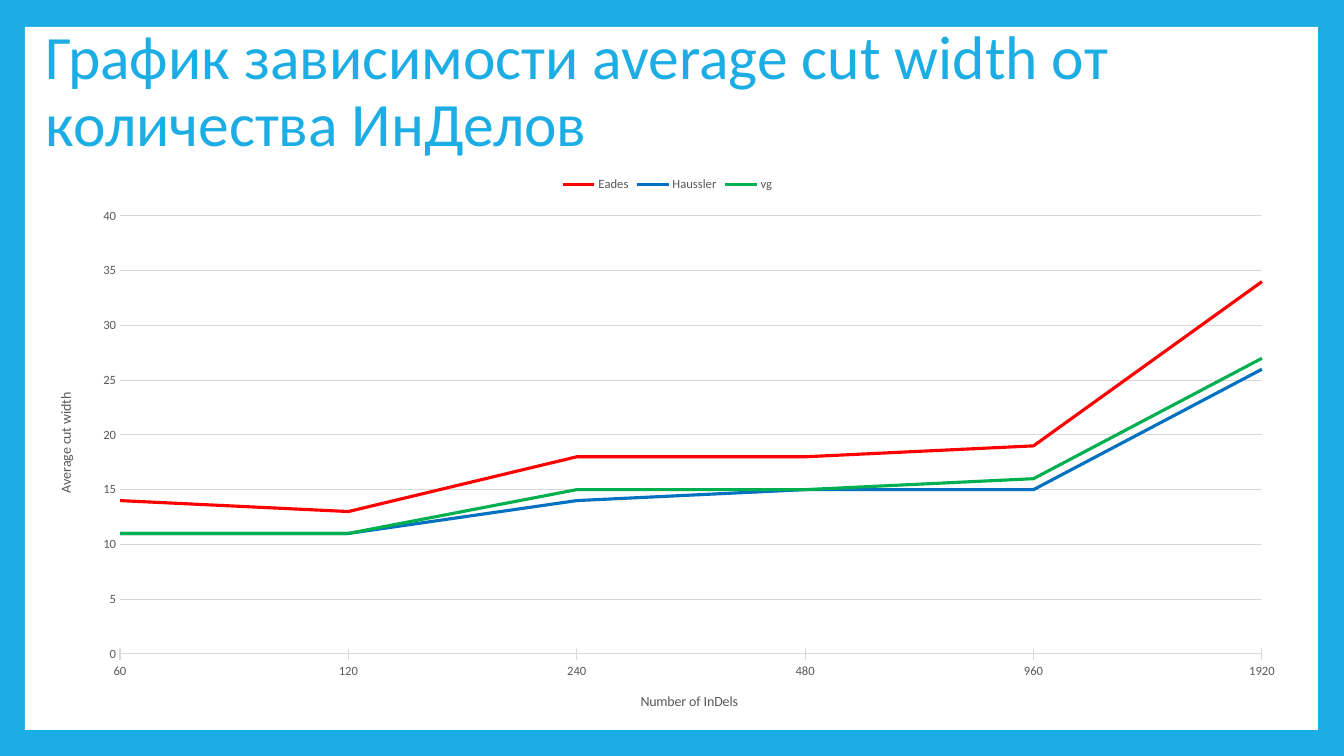
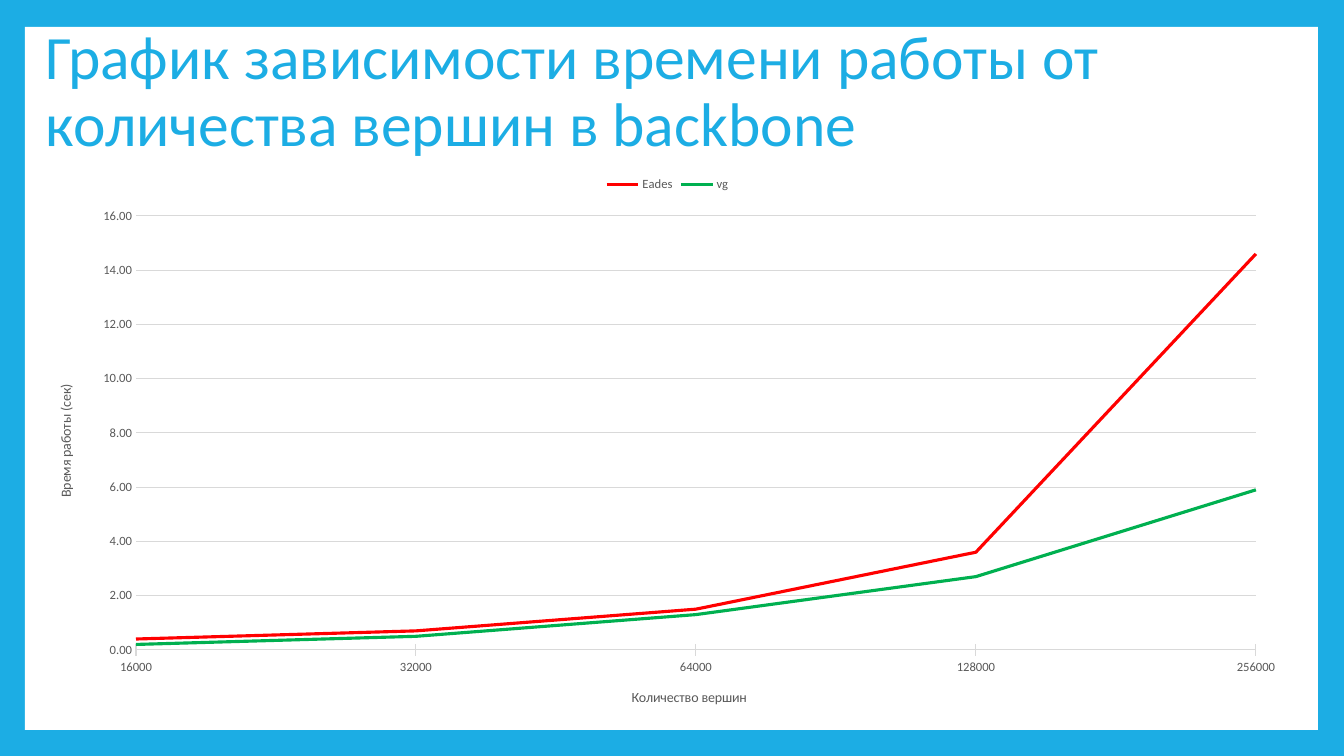
from lxml import etree
from pptx import Presentation, util as u
from pptx.chart.data import CategoryChartData
from pptx.dml.color import RGBColor
from pptx.enum import chart as ch, shapes, text
from pptx.oxml.ns import qn

PX = 914400 / 100.8
FONT = "Calibri"
CYAN = RGBColor(0x1C, 0xAD, 0xE4)
WHITE = RGBColor(0xFF, 0xFF, 0xFF)
GRAY = RGBColor(0x59, 0x59, 0x59)
GRID = RGBColor(0xD9, 0xD9, 0xD9)
RED = RGBColor(0xFF, 0x00, 0x00)
BLUE = RGBColor(0x00, 0x70, 0xC0)
GREEN = RGBColor(0x00, 0xB0, 0x50)
COLORS = {"Eades": RED, "Haussler": BLUE, "vg": GREEN}
CHART_X, CHART_Y, CHART_W = 35, 166, 1265

SLIDES = [
    {
        "title": "График зависимости average cut width от количества ИнДелов",
        "height": 563,
        "plot": (120, 216, 1142, 438),
        "x_title": ("Number of InDels", 638, 690),
        "y_title": ("Average cut width", 54, 390),
        "format": "General",
        "cats": ["60", "120", "240", "480", "960", "1920"],
        "series": {
            "Eades": [14, 13, 18, 18, 19, 34],
            "Haussler": [11, 11, 14, 15, 15, 26],
            "vg": [11, 11, 15, 15, 16, 27],
        },
        "max": 40, "step": 5,
    },
    {
        "title": "График зависимости времени работы от количества вершин в backbone",
        "height": 559,
        "plot": (136, 216, 1120, 434),
        "x_title": ("Количество вершин", 629, 686),
        "y_title": ("Время работы (сек)", 54, 382),
        "format": "0.00",
        "cats": ["16000", "32000", "64000", "128000", "256000"],
        "series": {
            "Eades": [0.4, 0.7, 1.5, 3.6, 14.6],
            "vg": [0.2, 0.5, 1.3, 2.7, 5.9],
        },
        "max": 16, "step": 2,
    },
]


def box(*lengths):
    return [u.Emu(round(n * PX)) for n in lengths]


def place(parent, index, height, x, y, w=None, h=None):
    for old in parent.findall(qn("c:layout")):
        parent.remove(old)
    layout = etree.Element(qn("c:layout"))
    manual = etree.SubElement(layout, qn("c:manualLayout"))
    items = [("xMode", "edge"), ("yMode", "edge"),
             ("x", (x - CHART_X) / CHART_W), ("y", (y - CHART_Y) / height)]
    if w:
        items = [("layoutTarget", "inner")] + items
        items += [("w", w / CHART_W), ("h", h / height)]
    for tag, val in items:
        etree.SubElement(manual, qn("c:" + tag)).set("val", str(val))
    parent.insert(index, layout)


prs = Presentation()
prs.slide_width, prs.slide_height = box(1344, 756)
fill = prs.slide_master.background.fill
fill.solid()
fill.fore_color.rgb = CYAN

for content in SLIDES:
    s = prs.slides.add_slide(prs.slide_layouts[6])

    sp = s.shapes.add_shape(shapes.MSO_SHAPE.RECTANGLE, *box(25, 27, 1293, 703))
    sp.shadow.inherit = False
    sp.fill.solid()
    sp.fill.fore_color.rgb = WHITE
    sp.line.fill.background()

    tf = s.shapes.add_textbox(*box(36, 19, 1265, 148)).text_frame
    tf.word_wrap = True
    tf.vertical_anchor = text.MSO_ANCHOR.MIDDLE
    tf.text = content["title"]
    p = tf.paragraphs[0]
    p.line_spacing = 0.9
    p.font.size = u.Pt(44)
    p.font.name = FONT
    p.font.color.rgb = CYAN

    height = content["height"]
    data = CategoryChartData()
    data.categories = content["cats"]
    for name, values in content["series"].items():
        data.add_series(name, values)
    chart = s.shapes.add_chart(ch.XL_CHART_TYPE.LINE,
                               *box(CHART_X, CHART_Y, CHART_W, height), data).chart
    chart.has_title = False
    chart.font.name = FONT
    chart.font.size = u.Pt(9)
    chart.font.color.rgb = GRAY
    chart.has_legend = True
    chart.legend.position = ch.XL_LEGEND_POSITION.TOP
    chart.legend.include_in_layout = False
    chart.plots[0].vary_by_categories = False
    for series in chart.series:
        series.smooth = False
        series.format.line.color.rgb = COLORS[series.name]
        series.format.line.width = u.Pt(2.25)

    x_axis, y_axis = chart.category_axis, chart.value_axis
    for axis, key in ((x_axis, "x_title"), (y_axis, "y_title")):
        label, x, y = content[key]
        tf = axis.axis_title.text_frame
        tf.text = label
        f = tf.paragraphs[0].runs[0].font
        f.name, f.size, f.bold = FONT, u.Pt(10), False
        f.color.rgb = GRAY
        place(tf._txBody.getparent().getparent(), 1, height, x, y)
    x_axis.major_tick_mark = ch.XL_TICK_MARK.CROSS
    x_axis.format.line.color.rgb = GRID
    x_axis.format.line.width = u.Pt(0.75)
    y_axis.major_tick_mark = ch.XL_TICK_MARK.NONE
    y_axis.format.line.fill.background()
    y_axis.major_gridlines.format.line.color.rgb = GRID
    y_axis.major_gridlines.format.line.width = u.Pt(0.75)
    y_axis.minimum_scale, y_axis.maximum_scale = 0, content["max"]
    y_axis.major_unit = content["step"]
    y_axis.tick_labels.number_format = content["format"]
    y_axis.tick_labels.number_format_is_linked = False

    area = chart._chartSpace.chart.plotArea
    place(area, 0, height, *content["plot"])
    val_ax = area.find(qn("c:valAx"))
    cross = val_ax.find(qn("c:crossBetween"))
    if cross is None:
        cross = etree.Element(qn("c:crossBetween"))
        val_ax.find(qn("c:crosses")).addnext(cross)
    cross.set("val", "midCat")

prs.save("out.pptx")
